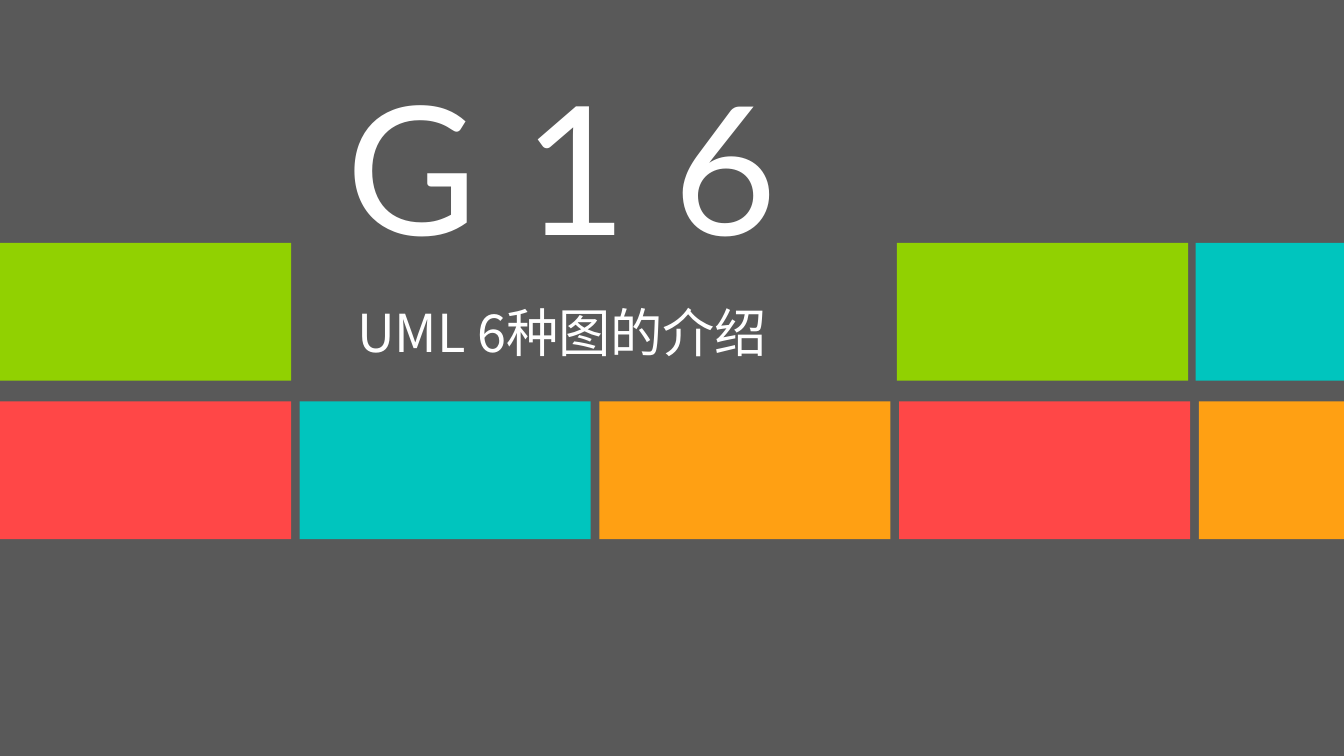
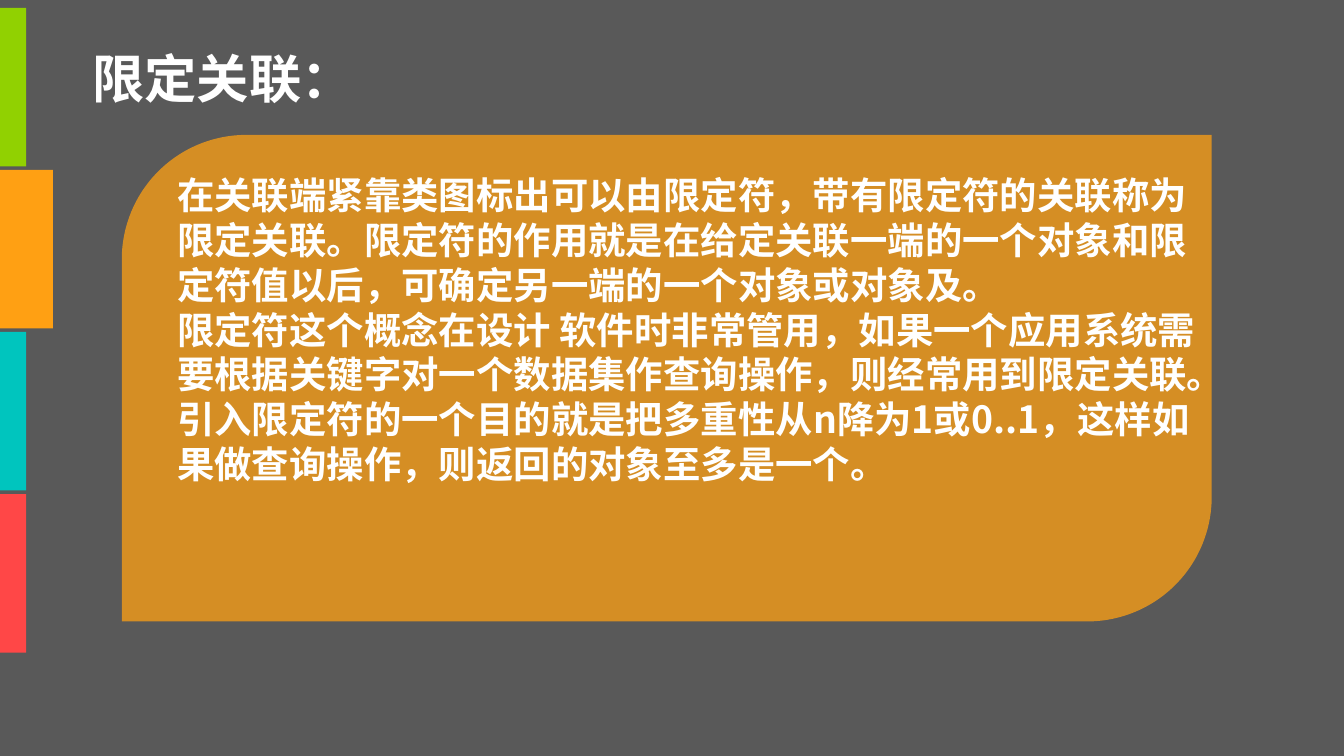
import pptx
import pptx.util
import pptx.dml.color
import pptx.enum.shapes
import pptx.enum.text
import pptx.oxml
import pptx.oxml.ns

RGBColor = pptx.dml.color.RGBColor
Shapes = pptx.enum.shapes.MSO_SHAPE

GREY = RGBColor(0x59, 0x59, 0x59)
WHITE = RGBColor(0xFF, 0xFF, 0xFF)
GREEN = RGBColor(0x91, 0xD1, 0x01)
RED = RGBColor(0xFF, 0x47, 0x47)
TEAL = RGBColor(0x00, 0xC5, 0xBE)
ORANGE = RGBColor(0xFF, 0xA0, 0x13)

LATIN = "Lato"
CHINESE = "Noto Sans CJK SC"

# The grid: every place and size is given in columns and rows of a 16:9 slide
COLUMNS = 100
ROWS = COLUMNS * 9 / 16


class Deck:
    """Holds the shared style and the current slide."""

    def __init__(self):
        self.presentation = pptx.Presentation()
        self.presentation.slide_width = pptx.util.Inches(10)
        self.presentation.slide_height = self.presentation.slide_width * 9 // 16
        self.slide = None

    def new_slide(self):
        blank = self.presentation.slide_layouts[6]
        self.slide = self.presentation.slides.add_slide(blank)
        background = self.slide.background.fill
        background.solid()
        background.fore_color.rgb = GREY

    def box(self, left, top, width, height):
        column = self.presentation.slide_width / COLUMNS
        row = self.presentation.slide_height / ROWS
        return (round(left * column), round(top * row),
                round(width * column), round(height * row))

    def block(self, left, top, width, height, color, kind=Shapes.RECTANGLE):
        shape = self.slide.shapes.add_shape(kind, *self.box(left, top, width, height))
        shape.shadow.inherit = False
        shape.fill.solid()
        shape.fill.fore_color.rgb = color
        shape.line.fill.background()
        return shape

    def panel(self, left, top, width, height, color, rounding, opacity):
        shape = self.block(left, top, width, height, color,
                           Shapes.ROUND_2_DIAG_RECTANGLE)
        shape.adjustments[0] = rounding
        shape.adjustments[1] = 0
        color_element = shape.fill._xPr.find(".//" + pptx.oxml.ns.qn("a:srgbClr"))
        alpha = pptx.oxml.parse_xml(
            f'<a:alpha {pptx.oxml.ns.nsdecls("a")} val="{opacity * 1000}"/>')
        color_element.append(alpha)

    def text(self, left, top, width, height, paragraphs, size,
             font=CHINESE, bold=False, wrap=True):
        shape = self.slide.shapes.add_textbox(*self.box(left, top, width, height))
        frame = shape.text_frame
        frame.word_wrap = wrap
        frame.auto_size = pptx.enum.text.MSO_AUTO_SIZE.SHAPE_TO_FIT_TEXT
        frame.text = "\n".join(paragraphs)
        for paragraph in frame.paragraphs:
            paragraph.font.size = pptx.util.Pt(size)
            paragraph.font.bold = bold
            paragraph.font.color.rgb = WHITE
            paragraph.font.name = font
            east_asian = pptx.oxml.parse_xml(
                f'<a:ea {pptx.oxml.ns.nsdecls("a")} typeface="{font}"/>')
            paragraph.font._element.append(east_asian)


def cover(deck):
    deck.new_slide()

    # Two rows of tiles; the last tile of each runs to the slide's edge
    tile_width, tile_height, pitch = 21.66, 10.24, 22.3
    tile_rows = [
        (18.08, [(0, GREEN), (66.74, GREEN), (88.97, TEAL)]),
        (29.87, [(index * pitch, color) for index, color
                 in enumerate([RED, TEAL, ORANGE, RED, ORANGE])]),
    ]
    for top, tiles in tile_rows:
        for left, color in tiles:
            width = min(tile_width, COLUMNS - left)
            deck.block(left, top, width, tile_height, color)

    # Title and subtitle
    deck.text(24.8, 3.7, 41.6, 17.2, ["G 1 6"], 96, font=LATIN, wrap=False)
    deck.text(25.6, 21.85, 34.6, 5.7, ["UML 6种图的介绍"], 28)


def qualified_association(deck):
    deck.new_slide()
    deck.panel(9.06, 10.04, 81.1, 36.2, ORANGE, rounding=0.256, opacity=75)

    # Side tabs, with the current section drawn wider
    tab_colors = [GREEN, ORANGE, TEAL, RED]
    for index, color in enumerate(tab_colors):
        width = 3.94 if color == ORANGE else 1.96
        deck.block(0, 0.58 + index * 12.06, width, 11.8, color)

    # Heading and body
    deck.text(5.9, 2.95, 21.7, 5.7, ["限定关联："], 28, bold=True, wrap=False)
    deck.text(12.2, 12.33, 79.1, 24.6, [
        "在关联端紧靠类图标出可以由限定符，带有限定符的关联称为限定关联。"
        "限定符的作用就是在给定关联一端的一个对象和限定符值以后，"
        "可确定另一端的一个对象或对象及。",
        "限定符这个概念在设计 软件时非常管用，如果一个应用系统需要根据关键字"
        "对一个数据集作查询操作，则经常用到限定关联。"
        "引入限定符的一个目的就是把多重性从n降为1或0..1，"
        "这样如果做查询操作，则返回的对象至多是一个。",
    ], 20, bold=True)


def main():
    deck = Deck()
    cover(deck)
    qualified_association(deck)
    deck.presentation.save("out.pptx")


if __name__ == "__main__":
    main()
